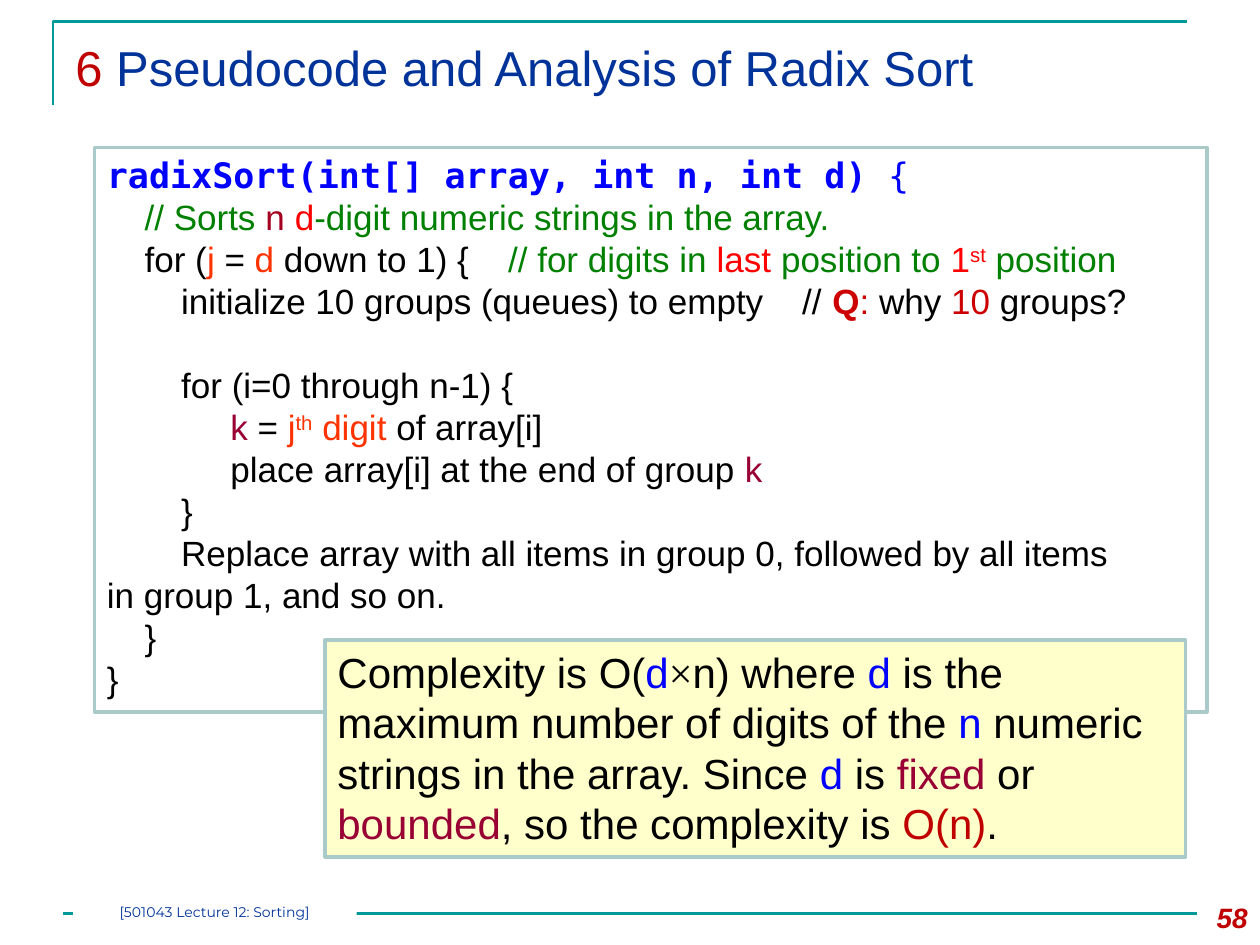
import pptx
import pptx.chart.data
import pptx.dml.color
import pptx.enum.shapes
import pptx.enum.text
import pptx.oxml.ns
import pptx.util
import lxml.etree

Inches = pptx.util.Inches
Pt = pptx.util.Pt
qn = pptx.oxml.ns.qn


def color(value):
    return pptx.dml.color.RGBColor.from_string(value)


def write(shape, lines, formats, align="LEFT", inset=None, tabs=()):
    frame = shape.text_frame
    frame.word_wrap = True
    frame.vertical_anchor = pptx.enum.text.MSO_ANCHOR.TOP
    if inset is not None:
        for side in ("left", "top", "right", "bottom"):
            setattr(frame, f"margin_{side}", Inches(inset))
    for index, runs in enumerate(lines):
        paragraph = frame.paragraphs[0] if index == 0 else frame.add_paragraph()
        paragraph.alignment = getattr(pptx.enum.text.PP_ALIGN, align)
        if tabs:
            properties = paragraph._p.get_or_add_pPr()
            tab_list = lxml.etree.SubElement(properties, qn("a:tabLst"))
            for position in tabs:
                lxml.etree.SubElement(tab_list, qn("a:tab"), pos=str(Inches(position)), algn="l")
        for text, run_color, *changes in runs:
            run = paragraph.add_run()
            run.text = text
            values = {**formats, **(changes[0] if changes else {})}
            baseline = values.pop("baseline", None)
            for name, value in values.items():
                setattr(run.font, name, value)
            run.font.color.rgb = color(run_color)
            if baseline:
                run.font._element.set("baseline", baseline)


BLACK, BLUE, GREEN, RED = "000000", "0000FF", "008000", "FF0000"
ORANGE, WINE, CRIMSON, DARK_RED = "FF3300", "990033", "CC0000", "C00000"
TEAL, NAVY, WHITE, BORDER = "009999", "003399", "FFFFFF", "AACACA"
MONO = {"name": "DejaVu Sans Mono"}
RAISED = {"baseline": "30000"}

presentation = pptx.Presentation()
presentation.slide_width = Inches(10)
presentation.slide_height = Inches(7.5)
slide = presentation.slides.add_slide(presentation.slide_layouts[6])
shapes = slide.shapes

builder = shapes.build_freeform(Inches(0.42), Inches(0.83))
builder.add_line_segments([(Inches(0.42), Inches(0.17)), (Inches(9.42), Inches(0.17))], close=False)
title_rule = builder.convert_to_shape()
title_rule.shadow.inherit = False
title_rule.fill.background()

footer_rule = shapes.add_connector(
    pptx.enum.shapes.MSO_CONNECTOR.STRAIGHT, Inches(0.5), Inches(7.25), Inches(9.5), Inches(7.25)
)
lxml.etree.SubElement(footer_rule._element.spPr, qn("a:effectLst"))
for rule in (title_rule, footer_rule):
    rule.line.color.rgb = color(TEAL)
    rule.line.width = Pt(1.5)

title = shapes.add_textbox(Inches(0.5), Inches(0.25), Inches(9), Inches(1))
write(
    title,
    [[("6 ", DARK_RED), ("Pseudocode and Analysis of Radix Sort", NAVY)]],
    {"name": "Arial", "size": Pt(28)},
)

page_number = shapes.add_textbox(Inches(9.33), Inches(7.1), Inches(0.67), Inches(0.4))
write(
    page_number,
    [[("58", DARK_RED)]],
    {"name": "Arial", "size": Pt(16), "bold": True, "italic": True},
    align="RIGHT",
)

boxes = []
for left, top, width, height, fill, border in (
    (0.75, 1.17, 8.83, 4.48, WHITE, BORDER),
    (2.58, 5.08, 6.83, 1.72, "FFFFCC", BORDER),
    (0.58, 7.17, 2.25, 0.17, WHITE, None),
):
    box = shapes.add_shape(
        pptx.enum.shapes.MSO_SHAPE.RECTANGLE, Inches(left), Inches(top), Inches(width), Inches(height)
    )
    box.shadow.inherit = False
    box.fill.solid()
    box.fill.fore_color.rgb = color(fill)
    if border:
        box.line.color.rgb = color(border)
        box.line.width = Pt(2)
    else:
        box.line.fill.background()
    boxes.append(box)
code_box, complexity_box, footer_box = boxes

code_lines = [
    [("radixSort(int[] array, int n, int d) ", BLUE, {**MONO, "bold": True}), ("{", BLUE, MONO)],
    [
        ("\t// Sorts ", GREEN), ("n ", "A50021"), ("d", RED),
        ("-digit numeric strings in the array.", GREEN),
    ],
    [
        ("\tfor (", BLACK), ("j ", ORANGE), ("= ", BLACK), ("d", ORANGE),
        (" down to 1) {    ", BLACK), ("// for digits in ", GREEN), ("last ", RED),
        ("position to ", GREEN), ("1", RED), ("st", RED, RAISED), (" position", GREEN),
    ],
    [
        ("\t\tinitialize 10 groups (queues) to empty    // ", BLACK),
        ("Q", CRIMSON, {"bold": True}), (":", CRIMSON), (" why ", BLACK),
        ("10", CRIMSON), (" groups?", BLACK),
    ],
    [("\t\tfor (i=0 through n-1) {", BLACK)],
    [
        ("\t\t\tk ", WINE), ("= ", BLACK), ("j", ORANGE), ("th", ORANGE, RAISED),
        (" digit", ORANGE), (" of array[i]", BLACK),
    ],
    [("\t\t\tplace array[i] at the end of group ", BLACK), ("k", WINE)],
    [("\t\t}", BLACK)],
    [(
        "\t\tReplace array with all items in group 0, followed by all items \t\tin group 1, and so on.",
        BLACK,
    )],
    [("\t}", BLACK)],
    [("}", BLACK)],
]
write(
    code_box, code_lines, {"name": "Arial", "size": Pt(20)}, tabs=(0.3, 0.59, 0.98, 1.28, 1.57)
)
code_box.text_frame.paragraphs[4].space_before = Pt(24)

complexity = [
    ("Complexity is O(", BLACK), ("d", BLUE), ("×", BLACK, {"name": "Times New Roman"}),
    ("n) where ", BLACK), ("d", BLUE), (" is the maximum number of digits of the ", BLACK),
    ("n", BLUE), (" numeric strings in the array. Since ", BLACK), ("d", BLUE), (" is ", BLACK),
    ("fixed", WINE), (" or ", BLACK), ("bounded", WINE),
    (", so the complexity is ", BLACK), ("O(n)", DARK_RED), (".", BLACK),
]
write(complexity_box, [complexity], {"name": "Arial", "size": Pt(24)})

write(
    footer_box,
    [[("[501043 Lecture 12: Sorting]", NAVY)]],
    {"name": "Montserrat", "size": Pt(8)},
    align="CENTER",
    inset=0,
)

presentation.save("out.pptx")
